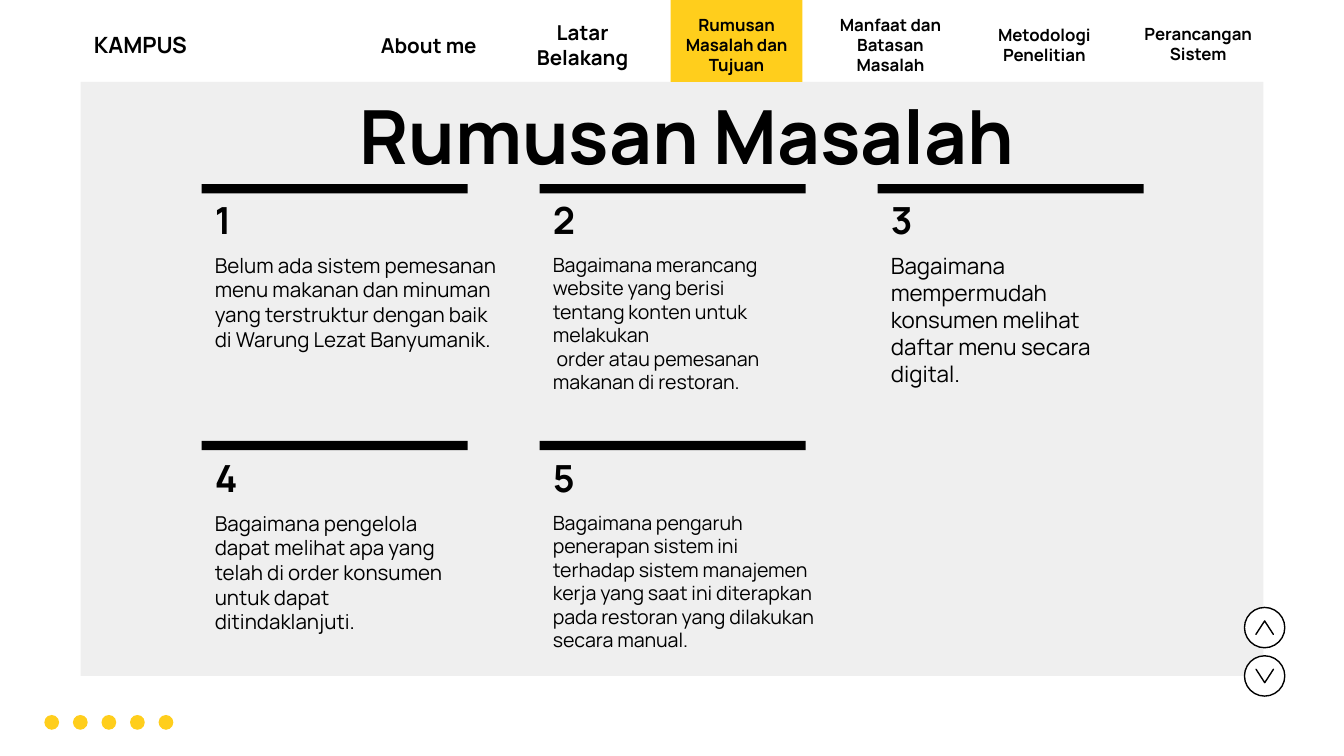
from dataclasses import dataclass

from pptx import Presentation
from pptx.dml.color import RGBColor
from pptx.enum.shapes import MSO_SHAPE
from pptx.enum.text import MSO_ANCHOR, MSO_AUTO_SIZE, PP_ALIGN
from pptx.util import Inches, Pt

BLACK = RGBColor(0x00, 0x00, 0x00)
WHITE = RGBColor(0xFF, 0xFF, 0xFF)
GREY = RGBColor(0xEF, 0xEF, 0xEF)
YELLOW = RGBColor(0xFF, 0xCE, 0x1C)
FONT = "Manrope"

SLIDE_W = 10
SLIDE_H = SLIDE_W * 9 / 16
MARGIN = 0.06 * SLIDE_W
HEADER_H = 0.61
COLUMN_LEFT, COLUMN_W = 1.5, 1.98
COLUMN_STEP = (6.53 - COLUMN_LEFT) / 2
ROW_TOP, BAR_STEP, TEXT_STEP = 1.37, 1.91, 1.92
TAB_LEFT, TAB_W, TAB_H = 2.7, 0.98, 0.21
TAB_STEP = (7.28 - TAB_LEFT) / 4
DOT_LEFT, DOT_SIZE = 0.33, 0.11
DOT_STEP = (1.18 - DOT_LEFT) / 4
BUTTON_LEFT, BUTTON_SIZE, CHEVRON_W, CHEVRON_H = 9.26, 0.3, 0.1, 0.13


@dataclass(frozen=True)
class Tab:
    label: str
    size: float
    width: float = TAB_W
    top: float = 0.23
    active: bool = False


@dataclass(frozen=True)
class Problem:
    column: int
    row: int
    paragraphs: tuple[str, ...]
    size: float
    width: float = COLUMN_W
    height: float = 0.96


@dataclass(frozen=True)
class Button:
    top: float
    rotation: int


TABS = (
    Tab("About me", 11),
    Tab("Latar Belakang", 11),
    Tab("Rumusan Masalah dan Tujuan", 9, active=True),
    Tab("Manfaat dan Batasan Masalah", 9),
    Tab("Metodologi Penelitian", 9),
    Tab("Perancangan Sistem", 9, width=1.1, top=0.22),
)

PROBLEMS = (
    Problem(0, 0, ("Belum ada sistem pemesanan menu makanan dan minuman yang "
                   "terstruktur dengan baik di Warung Lezat Banyumanik.",),
            11, 2.34, 1.05),
    Problem(1, 0, ("Bagaimana merancang website yang berisi tentang konten "
                   "untuk melakukan",
                   " order atau pemesanan makanan di restoran."), 10.5),
    Problem(2, 0, ("Bagaimana mempermudah konsumen melihat daftar menu "
                   "secara digital.",), 12),
    Problem(0, 1, ("Bagaimana pengelola dapat melihat apa yang telah di order "
                   "konsumen untuk dapat ditindaklanjuti.",), 11, 2.06),
    Problem(1, 1, ("Bagaimana pengaruh penerapan sistem ini terhadap sistem "
                   "manajemen kerja yang saat ini diterapkan pada restoran "
                   "yang dilakukan secara manual.",), 10.5, 2.19),
)

BUTTONS = (Button(4.52, 270), Button(4.88, 90))


def place(shape, left: float, top: float, width: float, height: float) -> None:
    shape.left, shape.top = Inches(left), Inches(top)
    shape.width, shape.height = Inches(width), Inches(height)


def add_block(shapes, kind, left: float, top: float, width: float,
              height: float, fill: RGBColor, outlined: bool = False):
    block = shapes.add_shape(kind, Inches(left), Inches(top),
                             Inches(width), Inches(height))
    block.shadow.inherit = False
    block.fill.solid()
    block.fill.fore_color.rgb = fill
    if outlined:
        block.line.color.rgb = BLACK
        block.line.width = Pt(0.75)
    else:
        block.line.fill.background()
    return block


def write(shape, paragraphs: tuple[str, ...], size: float, bold: bool = True,
          align=PP_ALIGN.LEFT, anchor=MSO_ANCHOR.TOP) -> None:
    frame = shape.text_frame
    frame.word_wrap = True
    frame.auto_size = MSO_AUTO_SIZE.NONE
    frame.vertical_anchor = anchor
    frame.margin_left = frame.margin_right = Inches(0.1)
    frame.margin_top = frame.margin_bottom = Inches(0.1)
    frame.text = "\n".join(paragraphs)
    for paragraph in frame.paragraphs:
        paragraph.alignment = align
        paragraph.font.name = FONT
        paragraph.font.size = Pt(size)
        paragraph.font.bold = bold
        paragraph.font.color.rgb = BLACK


def add_text(shapes, left: float, top: float, width: float, height: float,
             paragraphs: tuple[str, ...], size: float, **style) -> None:
    box = shapes.add_textbox(Inches(left), Inches(top),
                             Inches(width), Inches(height))
    write(box, paragraphs, size, **style)


def add_tab(shapes, index: int, tab: Tab) -> None:
    left = TAB_LEFT + index * TAB_STEP + (TAB_W - tab.width) / 2
    if tab.active:
        add_block(shapes, MSO_SHAPE.RECTANGLE, left, 0, tab.width, HEADER_H, YELLOW)
    add_text(shapes, left, tab.top, tab.width, TAB_H, (tab.label,), tab.size,
             align=PP_ALIGN.CENTER, anchor=MSO_ANCHOR.MIDDLE)


def add_problem(shapes, number: int, problem: Problem) -> None:
    left = COLUMN_LEFT + problem.column * COLUMN_STEP
    bar_top = ROW_TOP + problem.row * BAR_STEP
    text_top = ROW_TOP + problem.row * TEXT_STEP
    add_block(shapes, MSO_SHAPE.RECTANGLE, left, bar_top, COLUMN_W, 0.07, BLACK)
    add_text(shapes, left, text_top, COLUMN_W, 0.53, (str(number),), 20,
             anchor=MSO_ANCHOR.BOTTOM)
    add_text(shapes, left, text_top + 0.41, problem.width, problem.height,
             problem.paragraphs, problem.size, bold=False)


def add_button(shapes, button: Button) -> None:
    circle = add_block(shapes, MSO_SHAPE.ROUNDED_RECTANGLE, BUTTON_LEFT,
                       button.top, BUTTON_SIZE, BUTTON_SIZE, WHITE, outlined=True)
    circle.adjustments[0] = 0.5
    chevron = add_block(shapes, MSO_SHAPE.CHEVRON,
                        BUTTON_LEFT + (BUTTON_SIZE - CHEVRON_W) / 2,
                        button.top + (BUTTON_SIZE - CHEVRON_H) / 2,
                        CHEVRON_W, CHEVRON_H, BLACK, outlined=True)
    chevron.adjustments[0] = 1
    chevron.rotation = button.rotation


def main() -> None:
    presentation = Presentation()
    presentation.slide_width = Inches(SLIDE_W)
    presentation.slide_height = Inches(SLIDE_H)
    slide = presentation.slides.add_slide(presentation.slide_layouts[5])
    shapes = slide.shapes

    add_block(shapes, MSO_SHAPE.RECTANGLE, MARGIN, HEADER_H,
              SLIDE_W - 2 * MARGIN, 4.42, GREY)
    dots = shapes.add_group_shape().shapes
    for index in range(5):
        add_block(dots, MSO_SHAPE.OVAL, DOT_LEFT + index * DOT_STEP, 5.32,
                  DOT_SIZE, DOT_SIZE, YELLOW)

    add_text(shapes, MARGIN, 0.23, COLUMN_W, TAB_H, ("KAMPUS",), 12,
             anchor=MSO_ANCHOR.MIDDLE)
    for index, tab in enumerate(TABS):
        add_tab(shapes, index, tab)
    for number, problem in enumerate(PROBLEMS, start=1):
        add_problem(shapes, number, problem)
    for button in BUTTONS:
        add_button(shapes, button)

    heading = shapes.title
    place(heading, 2.08, 0.57, 6.06, 0.91)
    write(heading, ("Rumusan Masalah",), 40, align=PP_ALIGN.CENTER)
    # The heading lies in front of the grey panel.
    heading.element.getparent().append(heading.element)

    presentation.save("out.pptx")


if __name__ == "__main__":
    main()
